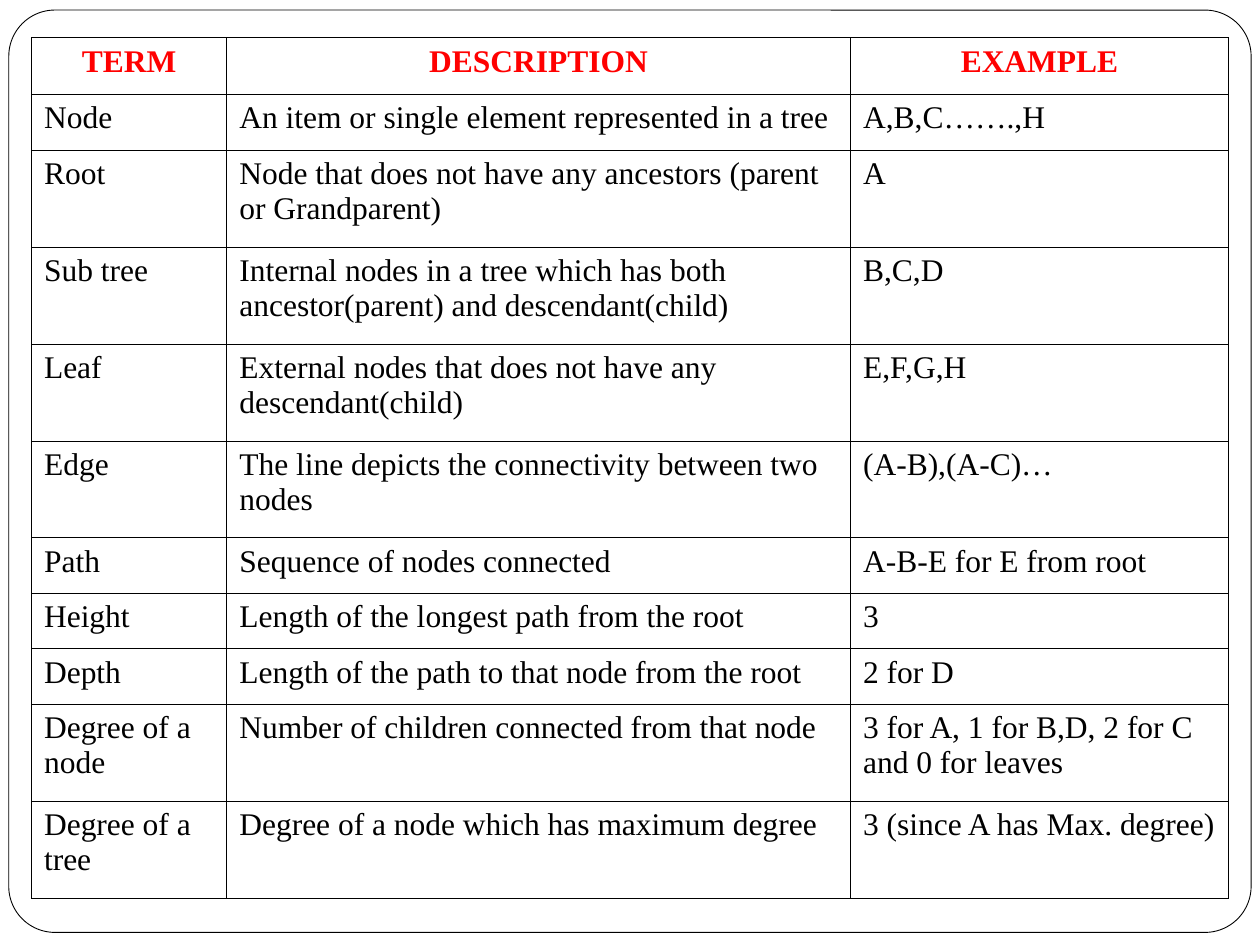
from lxml import etree
from pptx import Presentation
from pptx.dml.color import RGBColor
from pptx.enum.shapes import MSO_SHAPE
from pptx.enum.text import PP_ALIGN
from pptx.oxml.ns import qn
from pptx.util import Inches, Pt

ROUNDED = MSO_SHAPE.ROUNDED_RECTANGLE
LEFT, CENTER = PP_ALIGN.LEFT, PP_ALIGN.CENTER
COLORS = {"header": "FF0000", "text": "000000", "line": "000000", "fill": "FFFFFF"}
FONT = "Times New Roman"

COL_WIDTHS = [1.55, 4.95, 3]
HEADER_HEIGHT, SINGLE_HEIGHT, DOUBLE_HEIGHT = 0.45, 0.44, 0.77
HEADER = ("TERM", "DESCRIPTION", "EXAMPLE")
# Each row: height, then term, description and example.
TERMS = [
    (SINGLE_HEIGHT, "Node", "An item or single element represented in a tree", "A,B,C…….,H"),
    (DOUBLE_HEIGHT, "Root",
     "Node that does not have any ancestors (parent\nor Grandparent)", "A"),
    (DOUBLE_HEIGHT, "Sub tree",
     "Internal nodes in a tree which has both\nancestor(parent) and descendant(child)", "B,C,D"),
    (DOUBLE_HEIGHT, "Leaf",
     "External nodes that does not have any\ndescendant(child)", "E,F,G,H"),
    (DOUBLE_HEIGHT, "Edge",
     "The line depicts the connectivity between two\nnodes", "(A-B),(A-C)…"),
    (SINGLE_HEIGHT, "Path", "Sequence of nodes connected", "A-B-E for E from root"),
    (SINGLE_HEIGHT, "Height", "Length of the longest path from the root", "3"),
    (SINGLE_HEIGHT, "Depth", "Length of the path to that node from the root", "2 for D"),
    (DOUBLE_HEIGHT, "Degree of a\nnode", "Number of children connected from that node",
     "3 for A, 1 for B,D, 2 for C and 0 for leaves"),
    (DOUBLE_HEIGHT, "Degree of a\ntree", "Degree of a node which has maximum degree",
     "3 (since A has Max. degree)"),
]


def rgb(name):
    return RGBColor.from_string(COLORS[name])


def write_text(tf, text, size=18, color="text", bold=False, align=LEFT):
    """Fill a text frame, one paragraph for each line of the text."""
    tf.text = text
    for p in tf.paragraphs:
        p.alignment = align
        for r in p.runs:
            r.font.name = FONT
            r.font.size = Pt(size)
            r.font.bold = bold
            r.font.color.rgb = rgb(color)


def style_cell(cell, line_width=0.45):
    """Give a cell its four borders, fill and margins."""
    tc_pr = cell._tc.get_or_add_tcPr()
    for side in ("lnL", "lnR", "lnT", "lnB"):
        ln = etree.SubElement(tc_pr, qn(f"a:{side}"), w=str(int(Pt(line_width))))
        fill = etree.SubElement(ln, qn("a:solidFill"))
        etree.SubElement(fill, qn("a:srgbClr"), val=COLORS["line"])
    cell.fill.solid()
    cell.fill.fore_color.rgb = rgb("fill")
    cell.margin_left = cell.margin_right = Inches(0.1)
    cell.margin_top = cell.margin_bottom = Inches(0.05)


def add_frame(slide, left, top, width, height):
    sp = slide.shapes.add_shape(
        ROUNDED, Inches(left), Inches(top), Inches(width), Inches(height))
    sp.adjustments[0] = 0.05
    sp.shadow.inherit = False
    sp.fill.background()
    sp.line.color.rgb = rgb("line")
    sp.line.width = Pt(0.5)


def add_terms_table(slide, left, top):
    rows = [(HEADER_HEIGHT, *HEADER)] + TERMS
    height = sum(row[0] for row in rows)
    table = slide.shapes.add_table(
        len(rows), len(COL_WIDTHS), Inches(left), Inches(top),
        Inches(sum(COL_WIDTHS)), Inches(height)).table
    table.horz_banding = False
    for col, width in zip(table.columns, COL_WIDTHS):
        col.width = Inches(width)
    for i, (row_height, *texts) in enumerate(rows):
        table.rows[i].height = Inches(row_height)
        look = {"color": "header", "bold": True, "align": CENTER} if i == 0 else {}
        for cell, text in zip(table.rows[i].cells, texts):
            style_cell(cell)
            write_text(cell.text_frame, text, **look)


def main():
    prs = Presentation()
    prs.slide_width, prs.slide_height = Inches(10), Inches(7.5)
    slide = prs.slides.add_slide(prs.slide_layouts[6])
    add_frame(slide, 0.07, 0.08, 9.86, 7.32)
    add_terms_table(slide, 0.25, 0.3)
    prs.save("out.pptx")


if __name__ == "__main__":
    main()
